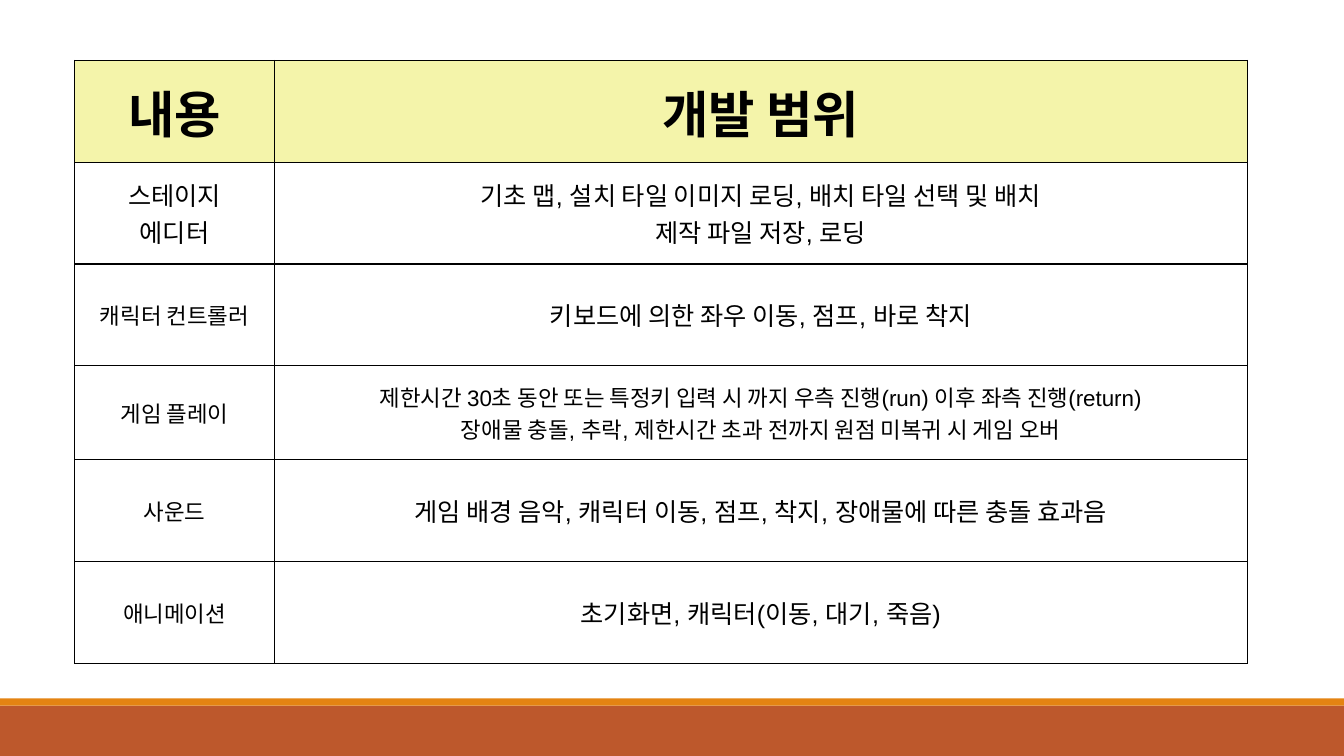
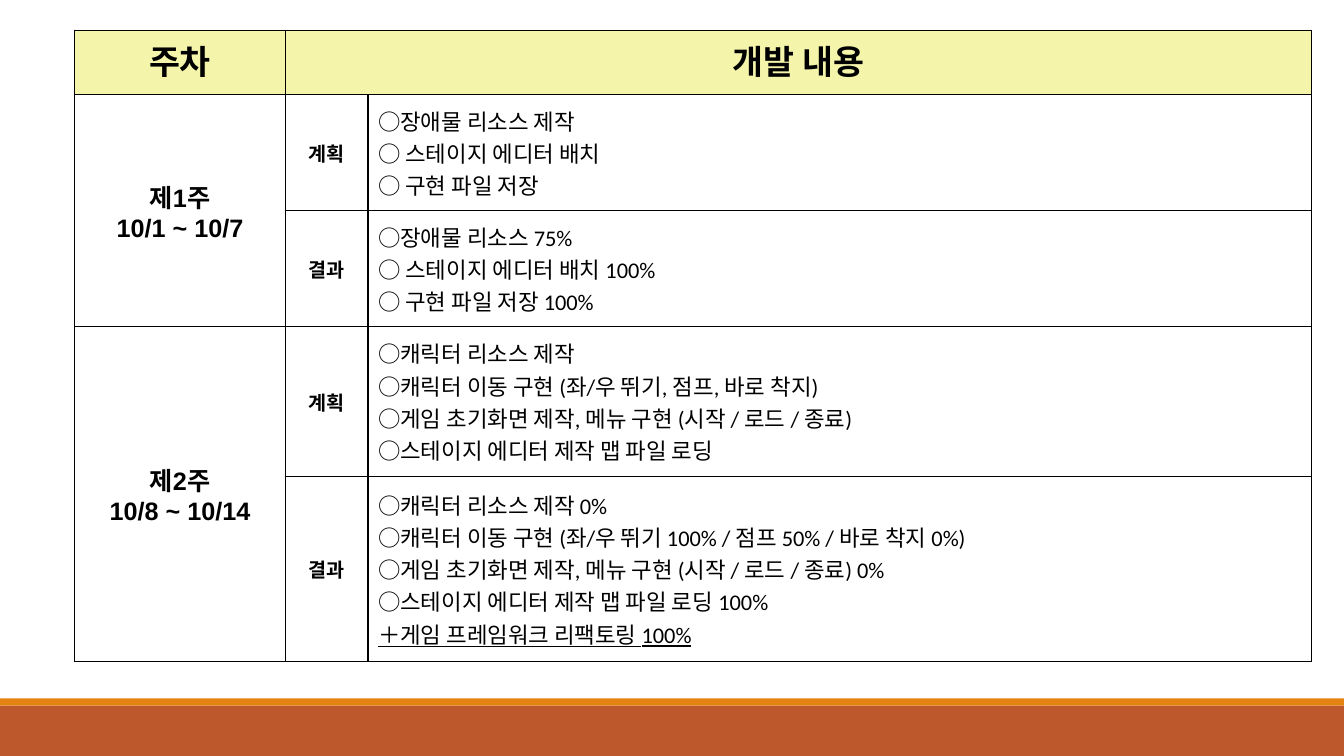
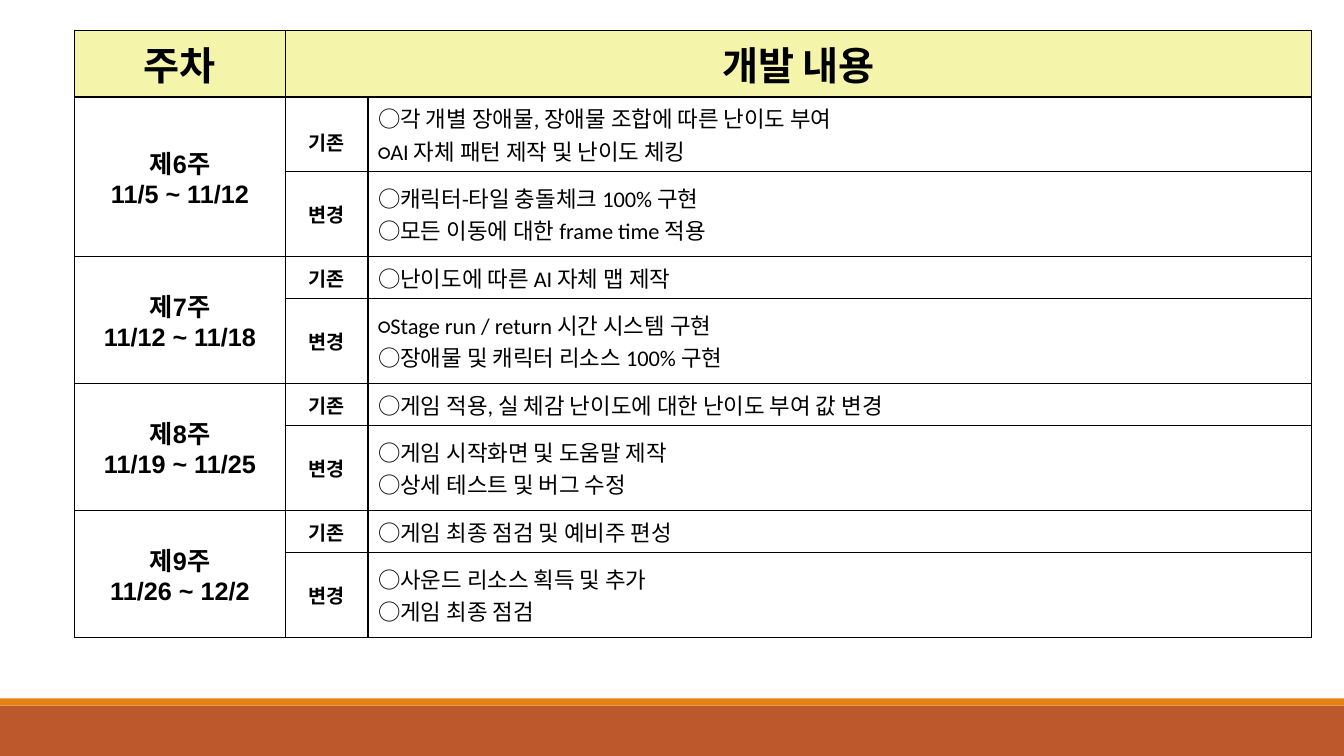
from pptx import Presentation
from pptx.dml.color import RGBColor
from pptx.enum import shapes, text
from pptx.oxml import parse_xml
from pptx.oxml.ns import nsdecls
from pptx.util import Inches, Pt

BLACK = RGBColor(0x00, 0x00, 0x00)
WHITE = RGBColor(0xFF, 0xFF, 0xFF)
YELLOW = RGBColor(0xF4, 0xF4, 0xAA)
ORANGE = RGBColor(0xE4, 0x83, 0x12)
RUST = RGBColor(0xBD, 0x58, 0x2C)
CENTER, LEFT = text.PP_ALIGN.CENTER, text.PP_ALIGN.LEFT
TOP, MIDDLE = text.MSO_ANCHOR.TOP, text.MSO_ANCHOR.MIDDLE

TABLE_LEFT = 0.74
BANDS = [(7, 0.5, RUST), (6.93, 0.07, ORANGE)]

SCOPE_HEAD = ("내용", "개발 범위")
SCOPE_COLS = (1.98, 9.65)
SCOPE = [
    (1.01, 18, ["스테이지", "에디터"],
     18, ["기초 맵, 설치 타일 이미지 로딩, 배치 타일 선택 및 배치", "제작 파일 저장, 로딩"]),
    (1.01, 16, ["캐릭터 컨트롤러"],
     18, ["키보드에 의한 좌우 이동, 점프, 바로 착지"]),
    (0.93, 16, ["게임 플레이"],
     16, ["제한시간 30초 동안 또는 특정키 입력 시 까지 우측 진행(run) 이후 좌측 진행(return)",
          "장애물 충돌, 추락, 제한시간 초과 전까지 원점 미복귀 시 게임 오버"]),
    (1.01, 16, ["사운드"],
     18, ["게임 배경 음악, 캐릭터 이동, 점프, 착지, 장애물에 따른 충돌 효과음"]),
    (1.01, 16, ["애니메이션"],
     18, ["초기화면, 캐릭터(이동, 대기, 죽음)"]),
]

WEEK_HEAD = ("주차", "개발 내용")
WEEK_COLS = (2.09, 0.82, 9.36)
EARLY_WEEKS = [
    ("제1주", "10/1 ~ 10/7", [
        (1.15, "계획", ["○장애물 리소스 제작", "○ 스테이지 에디터 배치", "○ 구현 파일 저장"]),
        (1.15, "결과", ["○장애물 리소스 75%", "○ 스테이지 에디터 배치 100%",
                      "○ 구현 파일 저장 100%"]),
    ]),
    ("제2주", "10/8 ~ 10/14", [
        (1.49, "계획", ["○캐릭터 리소스 제작",
                      "○캐릭터 이동 구현 (좌/우 뛰기, 점프, 바로 착지)",
                      "○게임 초기화면 제작, 메뉴 구현 (시작 / 로드 / 종료)",
                      "○스테이지 에디터 제작 맵 파일 로딩"]),
        (1.83, "결과", ["○캐릭터 리소스 제작 0%",
                      "○캐릭터 이동 구현 (좌/우 뛰기 100% / 점프 50% / 바로 착지 0%)",
                      "○게임 초기화면 제작, 메뉴 구현 (시작 / 로드 / 종료) 0%",
                      "○스테이지 에디터 제작 맵 파일 로딩 100%",
                      "＋게임 프레임워크 리팩토링 100%"]),
    ]),
]
LATE_WEEKS = [
    ("제6주", "11/5 ~ 11/12", [
        (0.73, "기존", ["○각 개별 장애물, 장애물 조합에 따른 난이도 부여",
                      "○AI 자체 패턴 제작 및 난이도 체킹"]),
        (0.84, "변경", ["○캐릭터-타일 충돌체크 100% 구현", "○모든 이동에 대한 frame time 적용"]),
    ]),
    ("제7주", "11/12 ~ 11/18", [
        (0.42, "기존", ["○난이도에 따른 AI 자체 맵 제작"]),
        (0.84, "변경", ["○Stage run / return 시간 시스템 구현",
                      "○장애물 및 캐릭터 리소스 100% 구현"]),
    ]),
    ("제8주", "11/19 ~ 11/25", [
        (0.42, "기존", ["○게임 적용, 실 체감 난이도에 대한 난이도 부여 값 변경"]),
        (0.84, "변경", ["○게임 시작화면 및 도움말 제작", "○상세 테스트 및 버그 수정"]),
    ]),
    ("제9주", "11/26 ~ 12/2", [
        (0.42, "기존", ["○게임 최종 점검 및 예비주 편성"]),
        (0.84, "변경", ["○사운드 리소스 획득 및 추가", "○게임 최종 점검"]),
    ]),
]


def add_bands(prs, s):
    master_tree = prs.slide_master.shapes.element
    for top, height, color in BANDS:
        sp = s.shapes.add_shape(shapes.MSO_SHAPE.RECTANGLE, 0, Inches(top),
                                prs.slide_width, Inches(height))
        sp.shadow.inherit = False
        sp.fill.solid()
        sp.fill.fore_color.rgb = color
        sp.line.fill.background()
        master_tree.append(sp.element)


def add_grid(s, top, cols, rows):
    frame = s.shapes.add_table(len(rows), len(cols), Inches(TABLE_LEFT), Inches(top),
                               Inches(sum(cols)), Inches(sum(rows)))
    table = frame.table
    table.first_row = table.horz_banding = False
    for column, width in zip(table.columns, cols):
        column.width = Inches(width)
    for row, height in zip(table.rows, rows):
        row.height = Inches(height)
    for i, row in enumerate(table.rows):
        for cell in row.cells:
            tc_pr = cell._tc.get_or_add_tcPr()
            for side in "LRTB":
                tc_pr.append(parse_xml(
                    f'<a:ln{side} {nsdecls("a")} w="{Pt(1)}"><a:solidFill>'
                    f'<a:srgbClr val="{BLACK}"/></a:solidFill></a:ln{side}>'))
            cell.fill.solid()
            cell.fill.fore_color.rgb = WHITE if i else YELLOW
    return table


def write(cell, lines, size, bold=False, font="Arial", align=CENTER, anchor=MIDDLE):
    cell.vertical_anchor = anchor
    tf = cell.text_frame
    tf.text = "\n".join(lines)
    for p in tf.paragraphs:
        p.alignment = align
        p.font.size = Pt(size)
        p.font.name = font
        p.font.bold = bold
        p.font.color.rgb = BLACK
        if p.text.startswith("＋"):
            p.font.underline = True


def add_scope(s):
    table = add_grid(s, 0.6, SCOPE_COLS, [1.01] + [row[0] for row in SCOPE])
    for j, head in enumerate(SCOPE_HEAD):
        write(table.cell(0, j), [head], 36, bold=True)
    for i, (_, name_size, name, detail_size, detail) in enumerate(SCOPE, 1):
        write(table.cell(i, 0), name, name_size)
        write(table.cell(i, 1), detail, detail_size)


def add_weeks(s, weeks, head_height, head_size):
    heights = [height for _, _, entries in weeks for height, _, _ in entries]
    table = add_grid(s, 0.3, WEEK_COLS, [head_height] + heights)
    table.cell(0, 1).merge(table.cell(0, 2))
    for j, head in enumerate(WEEK_HEAD):
        write(table.cell(0, j), [head], head_size, bold=True, anchor=TOP)
    i = 1
    for week, dates, entries in weeks:
        table.cell(i, 0).merge(table.cell(i + len(entries) - 1, 0))
        write(table.cell(i, 0), [week, dates], 18, bold=True)
        for _, label, items in entries:
            write(table.cell(i, 1), [label], 14, bold=True)
            write(table.cell(i, 2), items, 16, font="Calibri", align=LEFT)
            i += 1
    return table


def main():
    prs = Presentation()
    prs.slide_width, prs.slide_height = Inches(13.33), Inches(7.5)
    scope, early, late = [prs.slides.add_slide(prs.slide_layouts[6]) for _ in range(3)]
    add_bands(prs, scope)
    add_scope(scope)
    add_weeks(early, EARLY_WEEKS, 0.64, 24)
    table = add_weeks(late, LATE_WEEKS, 0.65, 28)
    table.cell(1, 1).margin_top = Inches(0.2)
    prs.save("out.pptx")


if __name__ == "__main__":
    main()
